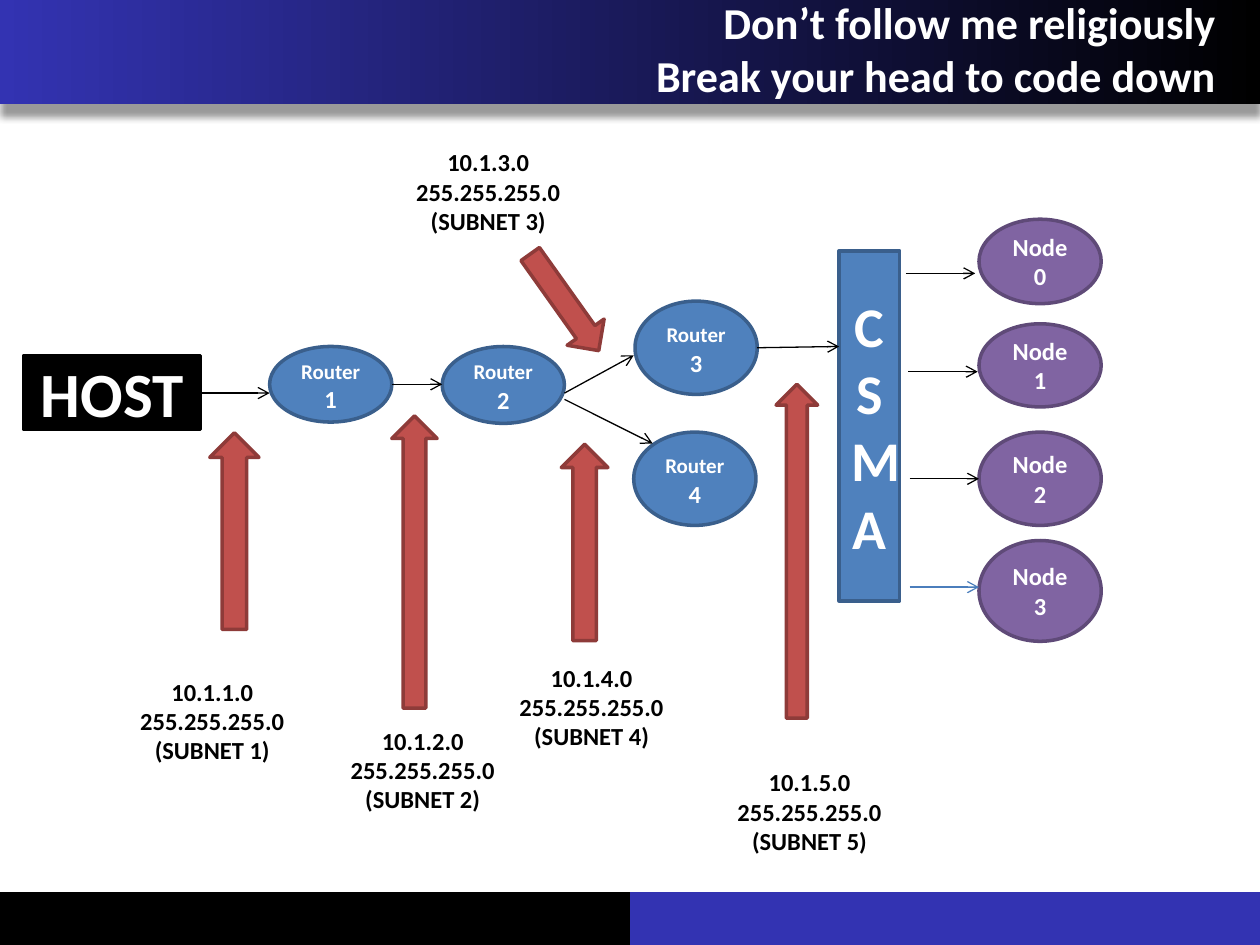
from lxml.etree import SubElement
from pptx import Presentation
from pptx.dml.color import RGBColor
from pptx.enum.shapes import MSO_CONNECTOR, MSO_SHAPE
from pptx.enum.text import MSO_ANCHOR, MSO_AUTO_SIZE, PP_ALIGN
from pptx.oxml.ns import qn
from pptx.util import Inches, Pt

BLACK, WHITE, INDIGO = "000000", "FFFFFF", "3333B2"
BLUE, BLUE_EDGE = "4F81BD", "3A5F8C"
PURPLE, PURPLE_EDGE = "8064A2", "5F4A78"
RED, RED_EDGE = "C0504D", "8E3B39"
OVAL_W = 0.97
ROUTERS = [(1, 2.14, 2.75, 0.6), (2, 3.51, 2.75, 0.61),
           (3, 5.04, 2.39, 0.74), (4, 5.03, 3.43, 0.74)]
NODES = [(1.74, 0.67), (2.57, 0.66), (3.43, 0.74), (4.29, 0.8)]
LINKS = [(1.59, 3.12, 2.14, 3.12), (3.11, 3.05, 3.51, 3.05),
         (4.48, 3.12, 5.03, 2.82), (4.48, 3.17, 5.18, 3.52),
         (6.01, 2.76, 6.66, 2.75)]
NODE_LINKS = [(7.19, 2.17, BLACK), (7.21, 2.95, BLACK),
              (7.22, 3.8, BLACK), (7.22, 4.66, "4B7EBC")]
POINTERS = [(1.08, 4.02, 1.56, 0.39, 270), (2.13, 4.28, 2.32, 0.36, 270),
            (3.86, 4.12, 1.56, 0.37, 270), (4.01, 2.22, 0.94, 0.36, 54.6),
            (5, 4.21, 2.65, 0.33, 270)]
SUBNETS = [(0.98, 5.32), (2.65, 5.71), (3.17, 1.12), (3.99, 5.21), (5.72, 6.04)]


def rgb(value):
    return RGBColor.from_string(value)


def format_run(r, size, color=WHITE):
    r.font.name = "Calibri"
    r.font.size = Pt(size)
    r.font.bold = True
    r.font.color.rgb = rgb(color)


def format_text(tf, size, color=WHITE, align=PP_ALIGN.CENTER):
    tf.word_wrap = True
    for p in tf.paragraphs:
        p.alignment = align
        for r in p.runs:
            format_run(r, size, color)


def add_block(s, kind, x, y, w, h, fill, edge=None, text="", size=14):
    sp = s.shapes.add_shape(kind, Inches(x), Inches(y), Inches(w), Inches(h))
    sp.shadow.inherit = False
    sp.fill.solid()
    sp.fill.fore_color.rgb = rgb(fill)
    if edge:
        sp.line.color.rgb = rgb(edge)
        sp.line.width = Pt(2)
    else:
        sp.line.fill.background()
    if text:
        tf = sp.text_frame
        tf.text = text
        tf.vertical_anchor = MSO_ANCHOR.MIDDLE
        format_text(tf, size)
    return sp


def add_header(s):
    sp = add_block(s, MSO_SHAPE.RECTANGLE, 0, 0, 10, 0.83, BLACK)
    sp.fill.gradient()
    sp.fill.gradient_angle = 0
    for stop, color in zip(sp.fill.gradient_stops, (INDIGO, BLACK)):
        stop.color.rgb = rgb(color)
    effects = sp._element.spPr.find(qn("a:effectLst"))
    shadow = SubElement(effects, qn("a:outerShdw"), blurRad=str(Pt(4)),
                        dist=str(Pt(7)), dir="5400000", rotWithShape="0")
    color = SubElement(shadow, qn("a:srgbClr"), val=BLACK)
    SubElement(color, qn("a:alpha"), val="40000")


def add_title(s, text):
    sp = s.shapes.title
    s.shapes._spTree.append(sp._element)
    sp.left, sp.top = Inches(0.44), Inches(0)
    sp.width, sp.height = Inches(9.31), Inches(0.77)
    tf = sp.text_frame
    tf.paragraphs[0].text = text
    tf.auto_size = MSO_AUTO_SIZE.NONE
    tf.vertical_anchor = MSO_ANCHOR.MIDDLE
    format_text(tf, 25.2, align=PP_ALIGN.RIGHT)


def add_router(s, number, x, y, h):
    sp = add_block(s, MSO_SHAPE.OVAL, x, y, OVAL_W, h, BLUE, BLUE_EDGE, "Router", 12)
    r = sp.text_frame.paragraphs[0].add_run()
    r.text = f" {number}"
    format_run(r, 14)


def add_link(s, x1, y1, x2, y2, color=BLACK):
    c = s.shapes.add_connector(MSO_CONNECTOR.STRAIGHT, Inches(x1), Inches(y1),
                               Inches(x2), Inches(y2))
    c.line.color.rgb = rgb(color)
    c.line.width = Pt(0.75)
    SubElement(c.line._get_or_add_ln(), qn("a:tailEnd"), type="arrow")
    SubElement(c._element.spPr, qn("a:effectLst"))


def add_subnet(s, number, x, y):
    tb = s.shapes.add_textbox(Inches(x), Inches(y), Inches(1.41), Inches(0.81))
    tf = tb.text_frame
    tf.text = f"10.1.{number}.0\n255.255.255.0\n(SUBNET {number})"
    format_text(tf, 14, BLACK)
    tf.auto_size = MSO_AUTO_SIZE.SHAPE_TO_FIT_TEXT


def main():
    prs = Presentation()
    prs.slide_width, prs.slide_height = Inches(10), Inches(7.5)
    s = prs.slides.add_slide(prs.slide_layouts[5])

    add_header(s)
    for x, color in ((5, INDIGO), (0, BLACK)):
        add_block(s, MSO_SHAPE.RECTANGLE, x, 7.08, 5, 0.42, color)
    add_title(s, "Don’t follow me religiously\vBreak your head to code down")

    add_block(s, MSO_SHAPE.RECTANGLE, 0.19, 2.82, 1.4, 0.59, BLACK, BLACK, "HOST", 36)
    for router in ROUTERS:
        add_router(s, *router)
    add_block(s, MSO_SHAPE.RECTANGLE, 6.66, 1.99, 0.48, 2.78, BLUE, BLUE_EDGE,
              "C\nS\nM\nA", 32)
    for number, (y, h) in enumerate(NODES):
        add_block(s, MSO_SHAPE.OVAL, 7.77, y, OVAL_W, h, PURPLE, PURPLE_EDGE,
                  f"Node {number}")

    for link in LINKS:
        add_link(s, *link)
    for x, y, color in NODE_LINKS:
        add_link(s, x, y, x + 0.55, y, color)
    for x, y, w, h, angle in POINTERS:
        sp = add_block(s, MSO_SHAPE.RIGHT_ARROW, x, y, w, h, RED, RED_EDGE)
        sp.rotation = angle
    for number, (x, y) in enumerate(SUBNETS, 1):
        add_subnet(s, number, x, y)

    prs.save("out.pptx")


if __name__ == "__main__":
    main()
